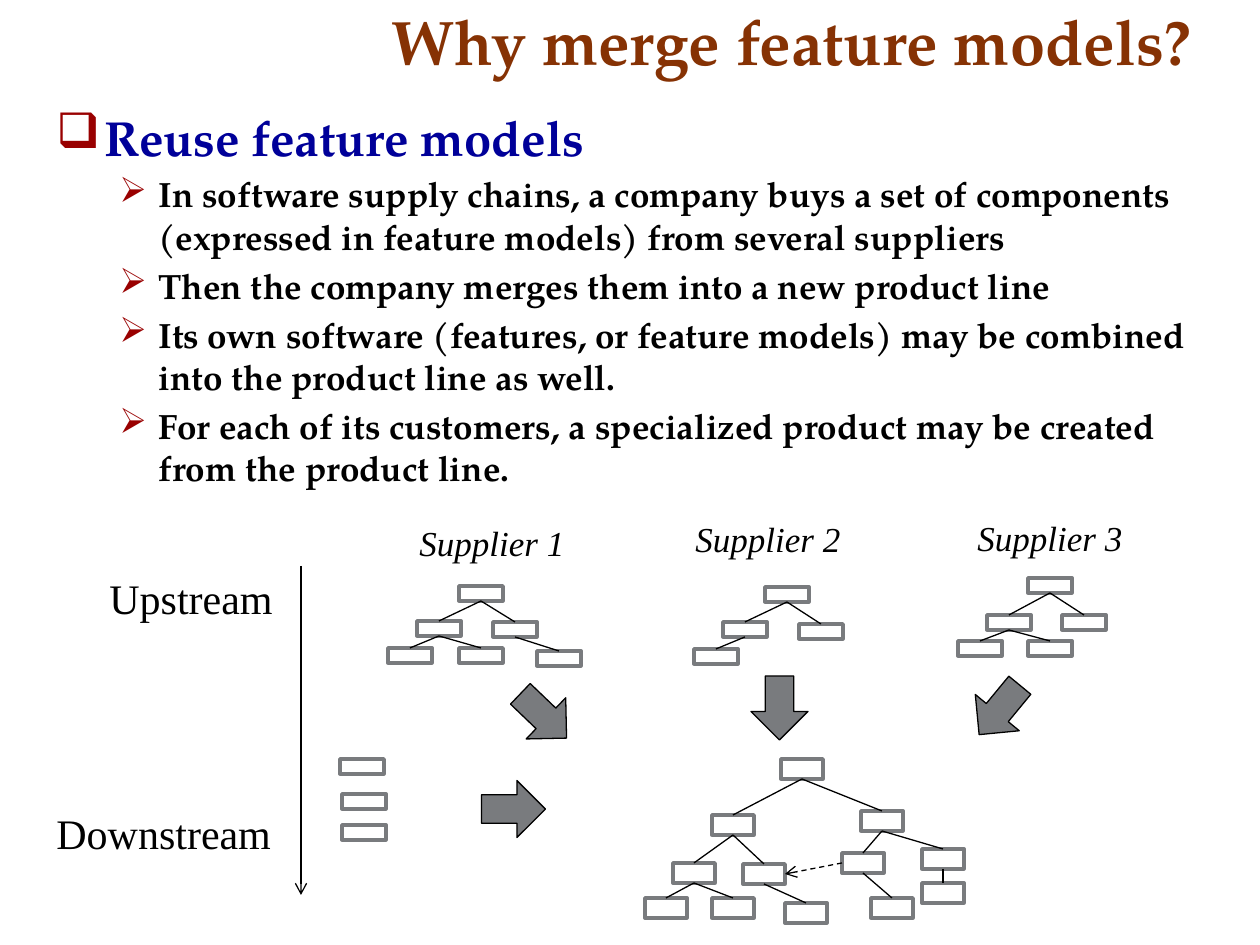
import pptx
import pptx.util
import pptx.dml.color
import pptx.enum.dml
import pptx.enum.shapes
import pptx.enum.text
import pptx.oxml
import pptx.oxml.ns

SCALE = 914400 // 126
HEADING_FONT = "TeX Gyre Pagella"
LABEL_FONT = "Times New Roman"
COLORS = {
    "title": "863204",
    "heading": "000099",
    "bullet": "990000",
    "ink": "000000",
    "gray": "797B7E",
    "white": "FFFFFF",
}
TOP, LEFT, BOTTOM, RIGHT = range(4)
FEATURE_SIZE = (44, 15)
MERGED_SIZE = (42, 20)

POINTS = [
    "In software supply chains, a company buys a set of components (expressed in feature models) from several suppliers",
    "Then the company merges them into a new product line",
    "Its own software (features, or feature models) may be combined into the product line as well.",
    "For each of its customers, a specialized product may be created from the product line.",
]
LABELS = [
    ("Upstream", (97, 566, 190, 63), 24, False),
    ("Downstream", (44, 801, 242, 63), 24, False),
    ("Supplier 1", (407, 515, 171, 55), 20, True),
    ("Supplier 2", (683, 511, 171, 55), 20, True),
    ("Supplier 3", (965, 510, 171, 55), 20, True),
]
SUPPLIER_TREES = [
    ([(459, 586), (417, 621), (493, 622), (459, 648), (388, 648), (537, 651)],
     [(0, 1), (0, 2), (1, 4), (2, 5), (1, 3)]),
    ([(765, 587), (723, 622), (799, 624), (694, 649)],
     [(0, 1), (0, 2), (1, 3)]),
    ([(1028, 578), (987, 615), (1062, 615), (1028, 641), (958, 641)],
     [(0, 1), (0, 2), (1, 4), (1, 3)]),
]
MERGED_TREE = (
    [(781, 759), (712, 815), (673, 863), (743, 864), (712, 898), (645, 898),
     (861, 811), (842, 853), (922, 883), (871, 898), (922, 849), (785, 903)],
    [(0, 1), (0, 6), (6, 7), (10, 8), (7, 9), (6, 10),
     (1, 2), (1, 3), (2, 5), (3, 11), (2, 4)],
)
OWN_FEATURES = [(340, 759), (342, 794), (342, 825)]
MERGE_ARROWS = [(515, 684, 313.8), (751, 676, 0), (971, 678, 39.5), (485, 777, 270)]


def px(*lengths):
    return [length * SCALE for length in lengths]


def color(name):
    return pptx.dml.color.RGBColor.from_string(COLORS[name])


def write(para, text, size, font=HEADING_FONT, ink="ink", bold=False, italic=False):
    para.alignment = pptx.enum.text.PP_ALIGN.LEFT
    span = para.add_run()
    span.text = text
    span.font.name = font
    span.font.size = pptx.util.Pt(size)
    span.font.color.rgb = color(ink)
    span.font.bold = bold
    span.font.italic = italic


def add_bullet(para, char, margin, hanging):
    properties = para._p.get_or_add_pPr()
    properties.set("marL", str(pptx.util.Inches(margin)))
    properties.set("indent", str(-pptx.util.Inches(hanging)))
    namespace = pptx.oxml.ns.nsdecls("a")
    for xml in (
        f'<a:buClr {namespace}><a:srgbClr val="{COLORS["bullet"]}"/></a:buClr>',
        f'<a:buChar {namespace} char="{char}"/>',
    ):
        properties.append(pptx.oxml.parse_xml(xml))


def add_title(page):
    title = page.shapes.title
    title.left, title.top, title.width, title.height = px(379, -4, 862, 88)
    frame = title.text_frame
    frame.auto_size = pptx.enum.text.MSO_AUTO_SIZE.NONE
    frame.vertical_anchor = pptx.enum.text.MSO_ANCHOR.BOTTOM
    write(frame.paragraphs[0], "Why merge feature models?", 36, ink="title", bold=True)


def add_body(page):
    frame = page.shapes.add_textbox(*px(44, 101, 1163, 718)).text_frame
    frame.word_wrap = True
    heading = frame.paragraphs[0]
    add_bullet(heading, "❑", 0.38, 0.38)
    write(heading, "Reuse feature models", 28, ink="heading", bold=True)
    for point in POINTS:
        para = frame.add_paragraph()
        para.level = 1
        para.space_before = pptx.util.Pt(4)
        add_bullet(para, "➢", 0.81, 0.31)
        write(para, point, 20, bold=True)


def add_label(page, text, area, size, italic):
    frame = page.shapes.add_textbox(*px(*area)).text_frame
    frame.word_wrap = False
    write(frame.paragraphs[0], text, size, font=LABEL_FONT, italic=italic)


def add_block(shapes, kind, area, fill, line, weight):
    block = shapes.add_shape(kind, *px(*area))
    block.shadow.inherit = False
    block.fill.solid()
    block.fill.fore_color.rgb = color(fill)
    block.line.color.rgb = color(line)
    block.line.width = pptx.util.Pt(weight)
    return block


def add_feature(shapes, corner, size):
    kind = pptx.enum.shapes.MSO_SHAPE.RECTANGLE
    return add_block(shapes, kind, (*corner, *size), "white", "gray", 2)


def add_merge_arrow(page, left, top, angle):
    kind = pptx.enum.shapes.MSO_SHAPE.DOWN_ARROW
    arrow = add_block(page.shapes, kind, (left, top, 57, 64), "gray", "ink", 0.75)
    arrow.rotation = angle


def add_line(shapes, start, end, arrow=False, dashed=False):
    line = shapes.add_connector(pptx.enum.shapes.MSO_CONNECTOR.STRAIGHT, *start, *end)
    line.line.color.rgb = color("ink")
    line.line.width = pptx.util.Pt(0.75)
    if dashed:
        line.line.dash_style = pptx.enum.dml.MSO_LINE.DASH
    namespace = pptx.oxml.ns.nsdecls("a")
    if arrow:
        head = pptx.oxml.parse_xml(f'<a:tailEnd {namespace} type="arrow"/>')
        line.line._get_or_add_ln().append(head)
    line._element.spPr.append(pptx.oxml.parse_xml(f"<a:effectLst {namespace}/>"))
    return line


def site_point(shape, site):
    across = {LEFT: 0, RIGHT: shape.width}.get(site, shape.width // 2)
    down = {TOP: 0, BOTTOM: shape.height}.get(site, shape.height // 2)
    return shape.left + across, shape.top + down


def join(shapes, source, target, sites=(BOTTOM, TOP), **style):
    start, end = site_point(source, sites[0]), site_point(target, sites[1])
    line = add_line(shapes, start, end, **style)
    line.begin_connect(source, sites[0])
    line.end_connect(target, sites[1])


def add_tree(page, corners, edges, size):
    shapes = page.shapes.add_group_shape().shapes
    features = [add_feature(shapes, corner, size) for corner in corners]
    for parent, child in edges:
        join(shapes, features[parent], features[child])
    return shapes, features


def main():
    deck = pptx.Presentation()
    deck.slide_width, deck.slide_height = px(1260, 945)
    page = deck.slides.add_slide(deck.slide_layouts[5])
    add_title(page)
    add_body(page)
    for label in LABELS:
        add_label(page, *label)
    add_line(page.shapes, px(301, 566), px(301, 895), arrow=True)
    for corners, edges in SUPPLIER_TREES:
        add_tree(page, corners, edges, FEATURE_SIZE)
    for arrow in MERGE_ARROWS:
        add_merge_arrow(page, *arrow)
    for corner in OWN_FEATURES:
        add_feature(page.shapes, corner, FEATURE_SIZE)
    shapes, features = add_tree(page, *MERGED_TREE, MERGED_SIZE)
    join(shapes, features[7], features[3], (LEFT, RIGHT), arrow=True, dashed=True)
    deck.save("out.pptx")


if __name__ == "__main__":
    main()
